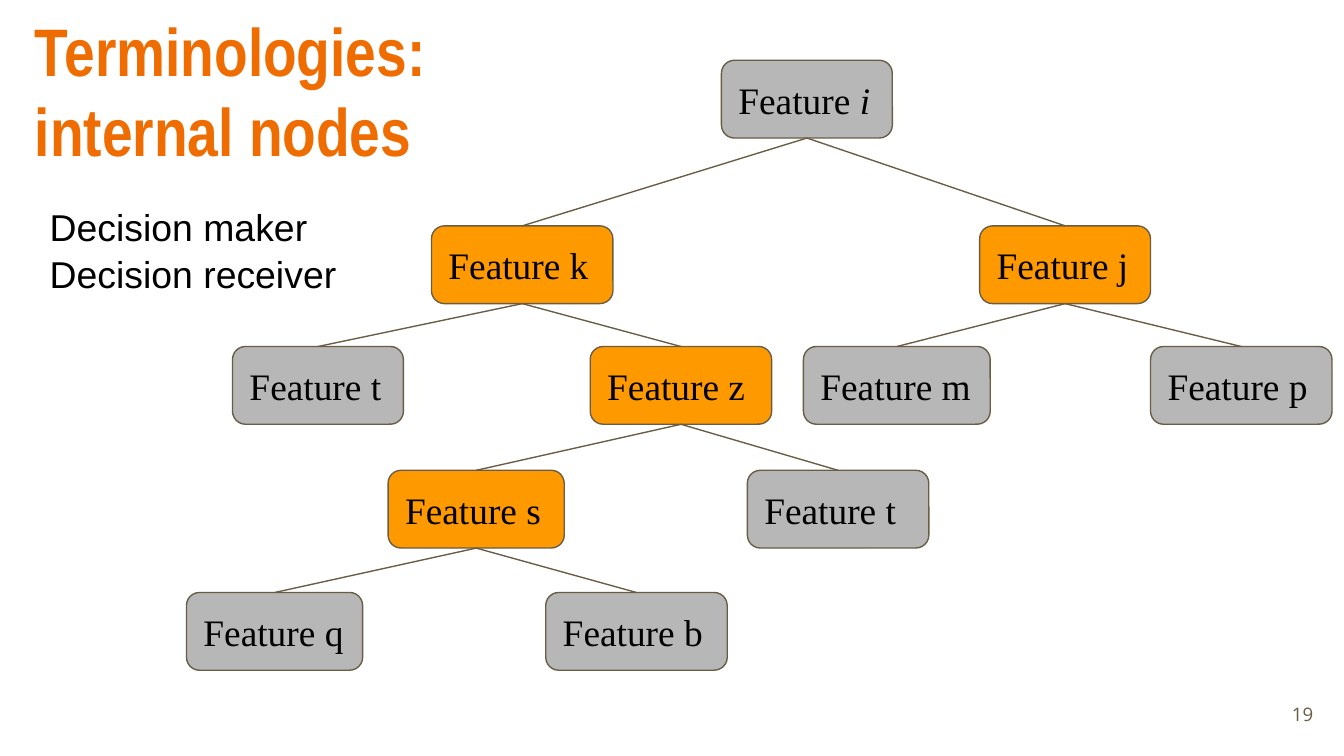
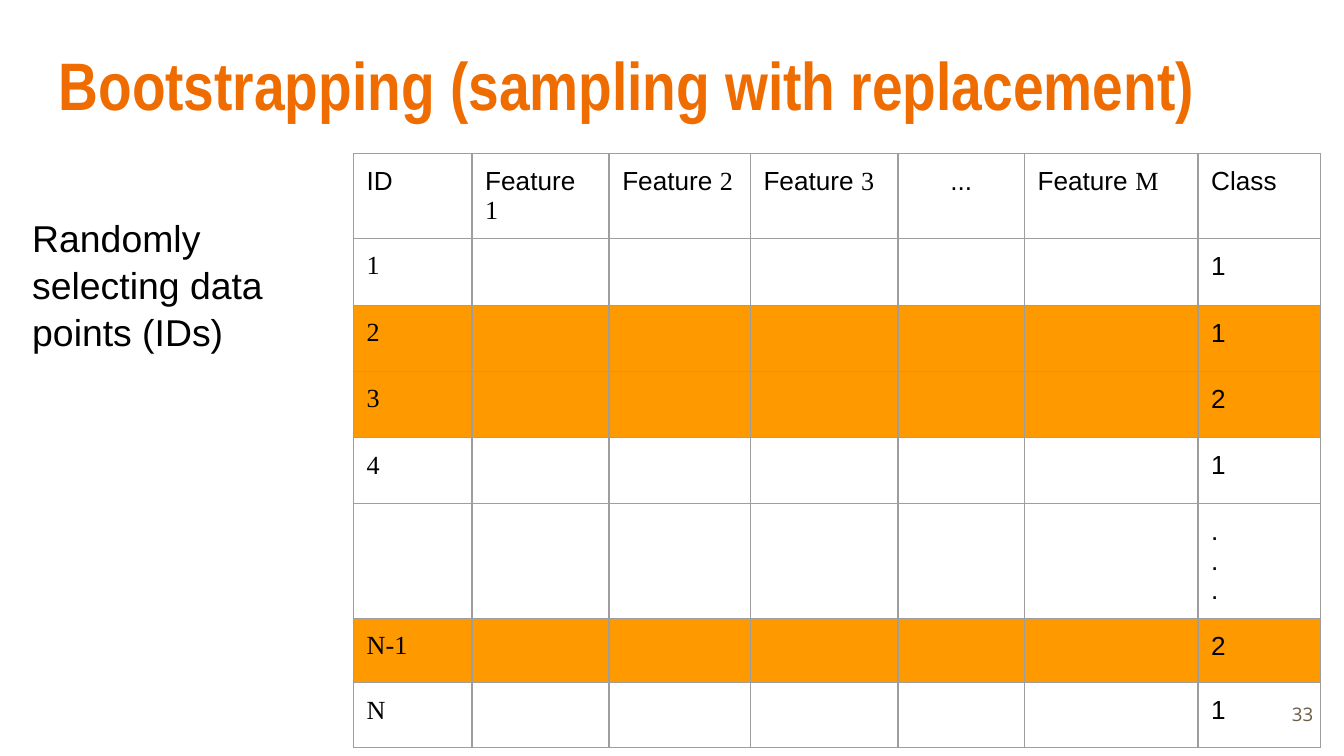
from lxml.etree import SubElement
from pptx import Presentation
from pptx.dml.color import RGBColor
from pptx.enum.shapes import MSO_CONNECTOR as Connector, MSO_SHAPE as Shape
from pptx.enum.text import MSO_ANCHOR as Anchor, MSO_AUTO_SIZE as AutoSize, PP_ALIGN as Align
from pptx.oxml.ns import qn
from pptx.util import Cm, Pt

ORANGE, GRAY, BROWN = "FF9900", "B7B7B7", "695D46"
TITLE_COLOR, BLACK, GRID = "EF6C00", "000000", "9E9E9E"
SANS, SERIF, NARROW, NUMBER = "Arial", "Times New Roman", "Arial Narrow", "Open Sans"
INSET = Cm(0.25)
LINE_WIDTH = Pt(0.75)

NODE_HEIGHT = 1.47
LEVEL_TOPS = [0, 3.13, 5.41, 7.75, 10.06]
NODES = {
    "root": ("i", 0, 11.72, 3.23, GRAY, None),
    "k": ("k", 1, 6.34, 3.43, ORANGE, "root"),
    "j": ("j", 1, 16.6, 3.23, ORANGE, "root"),
    "left t": ("t", 2, 2.48, 3.23, GRAY, "k"),
    "z": ("z", 2, 9.34, 3.43, ORANGE, "k"),
    "m": ("m", 2, 13.42, 3.53, GRAY, "j"),
    "p": ("p", 2, 19.93, 3.43, GRAY, "j"),
    "s": ("s", 3, 5.47, 3.33, ORANGE, "z"),
    "right t": ("t", 3, 12.31, 3.43, GRAY, "z"),
    "q": ("q", 4, 1.66, 3.33, GRAY, "s"),
    "b": ("b", 4, 8.5, 3.43, GRAY, "s"),
}

COLUMN_WIDTHS = [2.24, 2.59, 2.67, 2.79, 2.39, 3.28, 2.31]
ROW_HEIGHTS = [1.27, 1.27, 1.25, 1.25, 1.25, 1.32, 1.22, 1.22]
HEADERS = ["ID", "Feature 1", "Feature 2", "Feature 3", "...", "Feature M", "Class"]
SAMPLES = [("1", "1"), ("2", "1"), ("3", "2"), ("4", "1"),
           ("", ".\n.\n."), ("N-1", "2"), ("N", "1")]
SELECTED = {"2", "3", "N-1"}


def rgb(color):
    return RGBColor.from_string(color)


def set_font(font, name, size, color=BLACK, bold=False):
    font.name, font.size, font.bold = name, Pt(size), bold
    font.color.rgb = rgb(color)


def prepare_frame(frame, anchor):
    frame.word_wrap = True
    frame.auto_size = AutoSize.NONE
    frame.vertical_anchor = anchor
    frame.margin_left = frame.margin_right = INSET
    frame.margin_top = frame.margin_bottom = INSET


def write(frame, text, name, size, color=BLACK, bold=False,
          align=Align.LEFT, anchor=Anchor.TOP, spacing=1.0):
    prepare_frame(frame, anchor)
    frame.text = text
    for paragraph in frame.paragraphs:
        paragraph.alignment = align
        paragraph.line_spacing = spacing
        set_font(paragraph.font, name, size, color, bold)


def add_text(slide, box, text, name, size, **style):
    shape = slide.shapes.add_textbox(*map(Cm, box))
    write(shape.text_frame, text, name, size, **style)


def add_base(presentation, title, title_box, number):
    slide = presentation.slides.add_slide(presentation.slide_layouts[5])
    shape = slide.shapes.title
    shape.left, shape.top, shape.width, shape.height = map(Cm, title_box)
    write(shape.text_frame, title, NARROW, 36, TITLE_COLOR, bold=True)
    return slide, number


def add_number(slide, number):
    add_text(slide, (23.55, 12.95, 1.52, 1.09), number, NUMBER, 10,
             color=BROWN, align=Align.RIGHT, anchor=Anchor.MIDDLE)


def add_node(slide, letter, left, top, width, fill):
    node = slide.shapes.add_shape(Shape.ROUNDED_RECTANGLE, Cm(left), Cm(top),
                                  Cm(width), Cm(NODE_HEIGHT))
    node.shadow.inherit = False
    node.fill.solid()
    node.fill.fore_color.rgb = rgb(fill)
    node.line.color.rgb = rgb(BROWN)
    node.line.width = LINE_WIDTH
    write(node.text_frame, "Feature ", SERIF, 20, anchor=Anchor.MIDDLE)
    run = node.text_frame.paragraphs[0].add_run()
    run.text = letter
    if letter == "i":
        run.font.italic = True
    return node


def add_branch(slide, parent, child):
    branch = slide.shapes.add_connector(Connector.STRAIGHT, 0, 0, 0, 0)
    branch.begin_connect(parent, 2)
    branch.end_connect(child, 0)
    branch.line.color.rgb = rgb(BROWN)
    branch.line.width = LINE_WIDTH
    SubElement(branch._element.spPr, qn("a:effectLst"))


def add_tree(slide, left, top):
    shapes = {}
    for key, (letter, level, center, width, fill, parent) in NODES.items():
        shapes[key] = add_node(slide, letter, left + center - width / 2,
                               top + LEVEL_TOPS[level], width, fill)
        if parent:
            add_branch(slide, shapes[parent], shapes[key])


def add_borders(cell):
    properties = cell._tc.get_or_add_tcPr()
    for side in ("lnL", "lnR", "lnT", "lnB"):
        line = SubElement(properties, qn(f"a:{side}"), w=str(LINE_WIDTH))
        fill = SubElement(line, qn("a:solidFill"))
        SubElement(fill, qn("a:srgbClr"), val=GRID)


def fill_cell(cell, text, name, selected):
    add_borders(cell)
    if selected:
        cell.fill.solid()
        cell.fill.fore_color.rgb = rgb(ORANGE)
    else:
        cell.fill.background()
    cell.margin_left = cell.margin_right = INSET
    cell.margin_top = cell.margin_bottom = INSET
    cell.text = text
    for paragraph in cell.text_frame.paragraphs:
        set_font(paragraph.font, name, 14)
        if text == "...":
            paragraph.alignment = Align.CENTER


def add_sample_table(slide, left, top):
    table = slide.shapes.add_table(
        len(ROW_HEIGHTS), len(COLUMN_WIDTHS), Cm(left), Cm(top),
        Cm(sum(COLUMN_WIDTHS)), Cm(sum(ROW_HEIGHTS))).table
    table.first_row = table.horz_banding = False
    for column, width in zip(table.columns, COLUMN_WIDTHS):
        column.width = Cm(width)
    for row, height in zip(table.rows, ROW_HEIGHTS):
        row.height = Cm(height)
    for index, header in enumerate(HEADERS):
        word, space, symbol = header.partition(" ")
        cell = table.cell(0, index)
        fill_cell(cell, word + space, SANS, False)
        if symbol:
            run = cell.text_frame.paragraphs[0].add_run()
            run.text = symbol
            run.font.name = SERIF
    blanks = [""] * (len(HEADERS) - 2)
    for row, (sample, label) in enumerate(SAMPLES, 1):
        for column, text in enumerate([sample, *blanks, label]):
            name = SERIF if column == 0 else SANS
            fill_cell(table.cell(row, column), text, name, sample in SELECTED)


def add_tree_slide(presentation):
    slide, number = add_base(presentation, "Terminologies:\ninternal nodes",
                             (0.41, -0.08, 13.72, 3.96), "19")
    add_tree(slide, 3.53, 1.14)
    add_text(slide, (0.69, 3.56, 6.93, 1.96), "Decision maker\nDecision receiver",
             SANS, 20, spacing=1.05)
    add_number(slide, number)


def add_bootstrap_slide(presentation):
    slide, number = add_base(presentation, "Bootstrapping (sampling with replacement)",
                             (0.86, 0.56, 23.67, 1.96), "33")
    add_sample_table(slide, 6.68, 2.9)
    add_text(slide, (0.36, 3.78, 5.46, 3.12), "Randomly selecting data points (IDs)",
             SANS, 20, spacing=1.05)
    add_number(slide, number)


def main():
    presentation = Presentation()
    presentation.slide_width, presentation.slide_height = Cm(25.4), Cm(14.29)
    add_tree_slide(presentation)
    add_bootstrap_slide(presentation)
    presentation.save("out.pptx")


if __name__ == "__main__":
    main()
